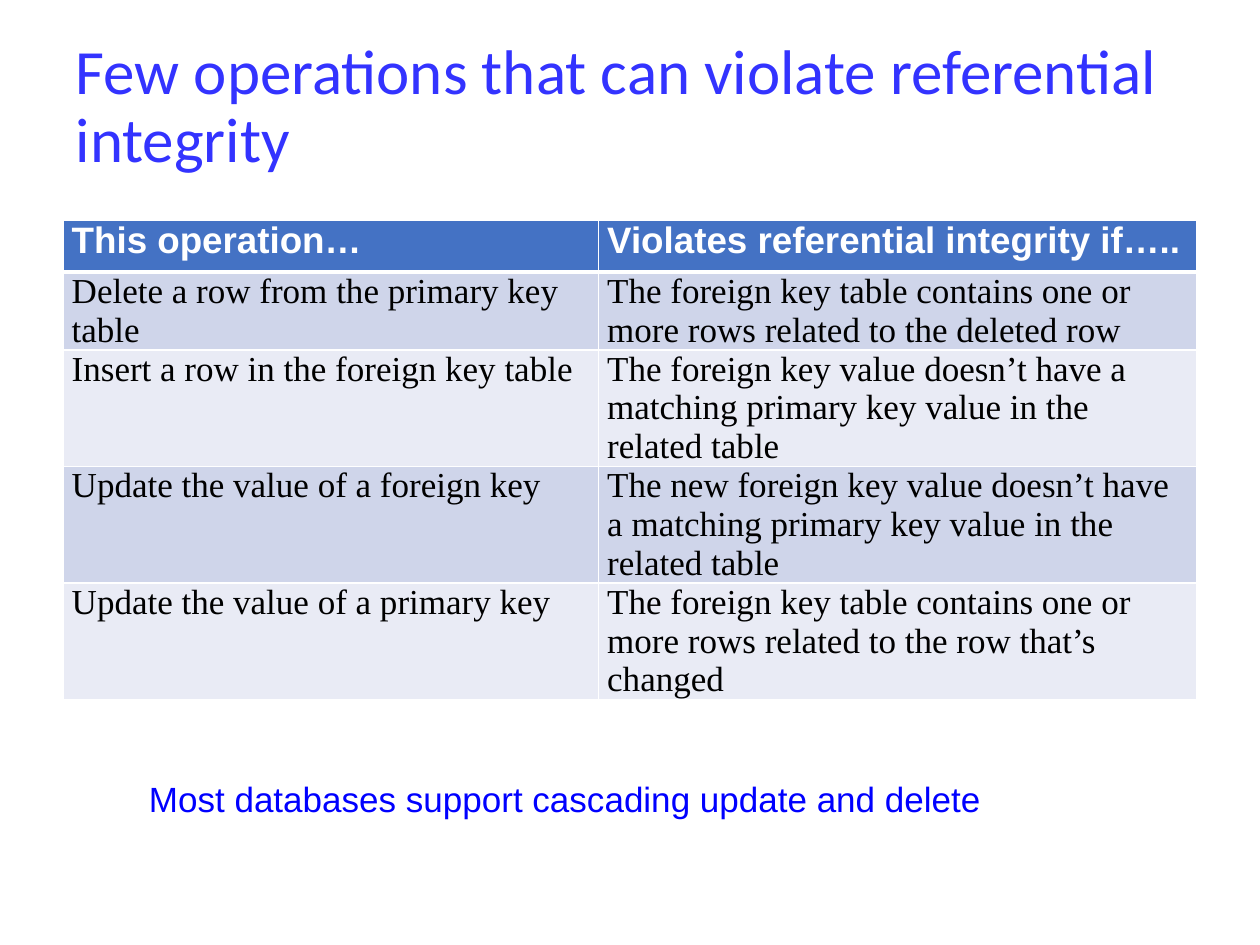
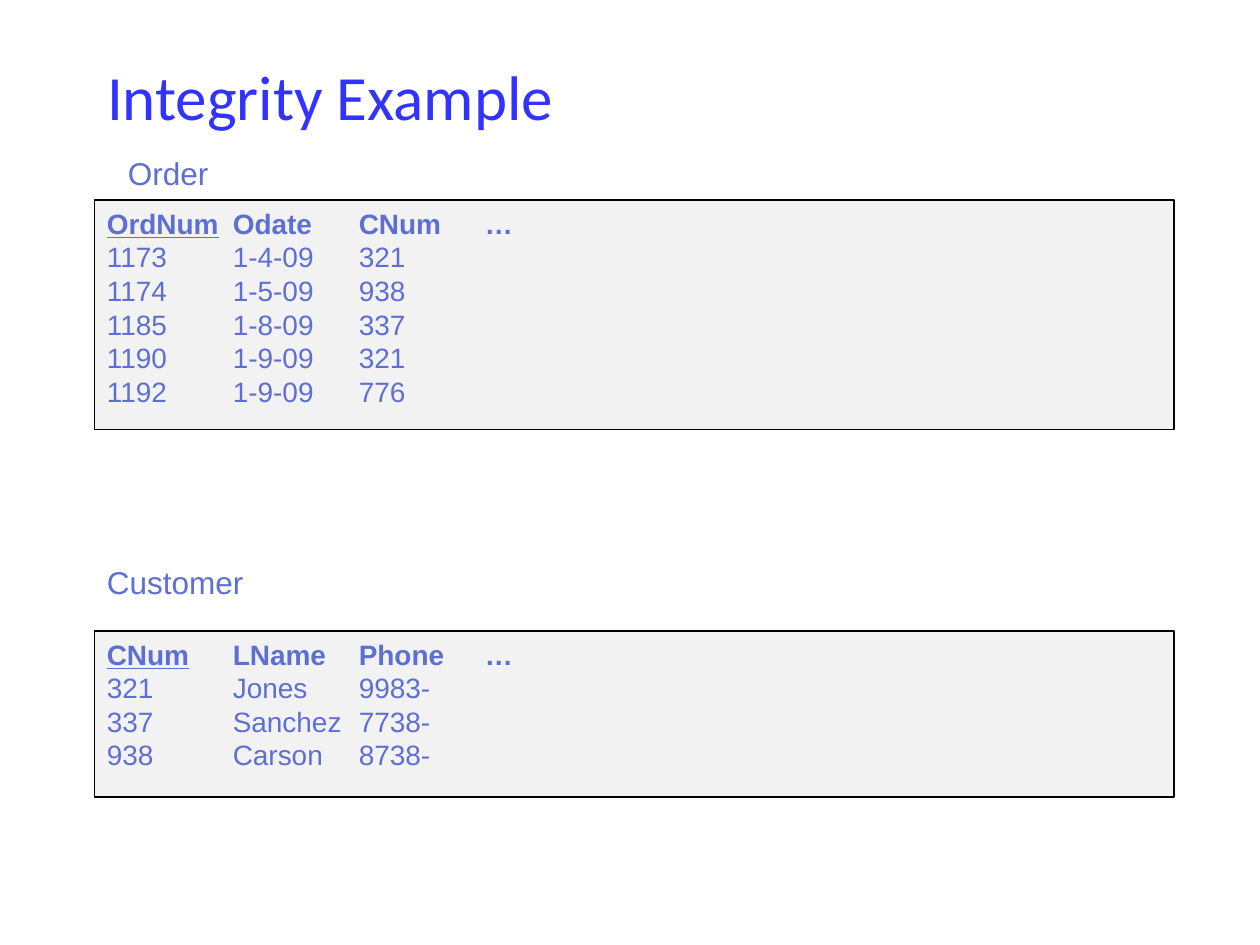
from dataclasses import dataclass

from lxml.etree import SubElement
from pptx import Presentation
from pptx.dml.color import RGBColor
from pptx.enum.shapes import MSO_SHAPE as Preset
from pptx.enum.text import MSO_ANCHOR as Anchor
from pptx.enum.text import MSO_AUTO_SIZE as AutoSize
from pptx.enum.text import PP_ALIGN as Align
from pptx.oxml.ns import qn
from pptx.util import Pt


@dataclass(frozen=True)
class Theme:
    title_color: str = "3333FF"
    note_color: str = "0000FF"
    record_color: str = "5E6FD4"
    panel_fill: str = "F2F2F2"
    panel_line: str = "000000"
    header_fill: str = "4472C4"
    header_text: str = "FFFFFF"
    cell_text: str = "000000"
    bands: tuple = ("CFD5EA", "E9EBF5")
    border: str = "FFFFFF"
    title_font: str = "Calibri"
    main_font: str = "Arial"
    cell_font: str = "Times New Roman"
    title_size: float = 36
    header_size: float = 21
    cell_size: float = 20
    label_size: float = 18
    record_size: float = 16
    record_pitch: float = 19.2
    tab_step: float = 72


THEME = Theme()

RULES = [
    ("This operation…", "Violates referential integrity if….."),
    ("Delete a row from the primary key table",
     "The foreign key table contains one or more rows related to the deleted row"),
    ("Insert a row in the foreign key table",
     "The foreign key value doesn’t have a matching primary key value in the related table"),
    ("Update the value of a foreign key",
     "The new foreign key value doesn’t have a matching primary key value in the related table"),
    ("Update the value of a primary key",
     "The foreign key table contains one or more rows related to the row that’s changed"),
]

ORDERS = [
    ("OrdNum", "Odate", "CNum", "…"),
    ("1173", "1-4-09", "321"),
    ("1174", "1-5-09", "938"),
    ("1185", "1-8-09", "337"),
    ("1190", "1-9-09", "321"),
    ("1192", "1-9-09", "776"),
]

CUSTOMERS = [
    ("CNum", "LName", "Phone", "…"),
    ("321", "Jones", "9983-"),
    ("337", "Sanchez", "7738-"),
    ("938", "Carson", "8738-"),
]


def points(box):
    return [Pt(value) for value in box]


def color(code):
    return RGBColor.from_string(code)


def write(para, text, *, font, size, fill, bold=False, underline=False):
    para.alignment = Align.LEFT
    span = para.add_run()
    span.text = text
    span.font.name = font
    span.font.size = Pt(size)
    span.font.color.rgb = color(fill)
    span.font.bold = bold
    span.font.underline = underline


def add_page(deck, title, box):
    page = deck.slides.add_slide(deck.slide_layouts[5])
    shape = page.shapes.title
    shape.left, shape.top, shape.width, shape.height = points(box)
    frame = shape.text_frame
    frame.auto_size = AutoSize.NONE
    frame.vertical_anchor = Anchor.MIDDLE
    para = frame.paragraphs[0]
    para.line_spacing = 0.9
    write(para, title, font=THEME.title_font, size=THEME.title_size,
          fill=THEME.title_color)
    return page


def add_label(page, text, box, *, size, fill):
    frame = page.shapes.add_textbox(*points(box)).text_frame
    frame.word_wrap = True
    write(frame.paragraphs[0], text, font=THEME.main_font, size=size, fill=fill)


def set_borders(cell, bottom):
    props = cell._tc.get_or_add_tcPr()
    widths = {"a:lnL": 1, "a:lnR": 1, "a:lnT": 1, "a:lnB": bottom}
    for index, (tag, width) in enumerate(widths.items()):
        line = SubElement(props, qn(tag), w=str(Pt(width)))
        fill = SubElement(line, qn("a:solidFill"))
        SubElement(fill, qn("a:srgbClr"), val=THEME.border)
        props.insert(index, line)


def fill_cell(cell, text, row):
    header = row == 0
    cell.margin_left = cell.margin_right = Pt(5)
    cell.margin_top = cell.margin_bottom = 0
    cell.fill.solid()
    fill = THEME.header_fill if header else THEME.bands[(row - 1) % 2]
    cell.fill.fore_color.rgb = color(fill)
    set_borders(cell, bottom=3 if header else 1)
    write(cell.text_frame.paragraphs[0], text, bold=header,
          font=THEME.main_font if header else THEME.cell_font,
          size=THEME.header_size if header else THEME.cell_size,
          fill=THEME.header_text if header else THEME.cell_text)


def add_rules_table(page, rules, box, column_widths):
    table = page.shapes.add_table(len(rules), len(column_widths), *points(box)).table
    table.first_row = table.horz_banding = False
    for column, width in zip(table.columns, column_widths):
        column.width = Pt(width)
    for row, texts in enumerate(rules):
        for column, text in enumerate(texts):
            fill_cell(table.cell(row, column), text, row)


def set_tabs(para, count):
    stops = SubElement(para._p.get_or_add_pPr(), qn("a:tabLst"))
    for number in range(1, count + 1):
        SubElement(stops, qn("a:tab"), pos=str(Pt(number * THEME.tab_step)), algn="l")


def add_records(page, records, box):
    panel = page.shapes.add_shape(Preset.RECTANGLE, *points(box))
    panel.shadow.inherit = False
    panel.fill.solid()
    panel.fill.fore_color.rgb = color(THEME.panel_fill)
    panel.line.color.rgb = color(THEME.panel_line)
    panel.line.width = Pt(1)
    frame = panel.text_frame
    frame.word_wrap = True
    frame.vertical_anchor = Anchor.TOP
    style = dict(font=THEME.main_font, size=THEME.record_size, fill=THEME.record_color)
    for row, (key, *values) in enumerate(records):
        para = frame.paragraphs[0] if row == 0 else frame.add_paragraph()
        para.line_spacing = Pt(THEME.record_pitch)
        set_tabs(para, 3)
        header = row == 0
        write(para, key, bold=header, underline=header, **style)
        write(para, "\t" + "\t".join(values), bold=header, **style)


def add_violations_page(deck):
    page = add_page(deck, "Few operations that can violate referential integrity",
                    (36, 24, 648, 75.6))
    add_rules_table(page, RULES, (36, 126, 648, 29.5 * len(RULES)), (306, 342))
    add_label(page, "Most databases support cascading update and delete",
              (78, 440.6, 600, 31.5), size=THEME.cell_size, fill=THEME.note_color)


def add_example_page(deck):
    page = add_page(deck, "Integrity Example", (54, 12, 612, 90))
    add_records(page, ORDERS, (54, 114.4, 617, 131))
    add_records(page, CUSTOMERS, (54, 360.6, 617, 95))
    for text, box in (("Customer", (54, 318.2, 541.5, 29)),
                      ("Order", (66, 84.2, 450, 29))):
        add_label(page, text, box, size=THEME.label_size, fill=THEME.record_color)


def main():
    deck = Presentation()
    deck.slide_width, deck.slide_height = Pt(720), Pt(540)
    add_violations_page(deck)
    add_example_page(deck)
    deck.save("out.pptx")


if __name__ == "__main__":
    main()
